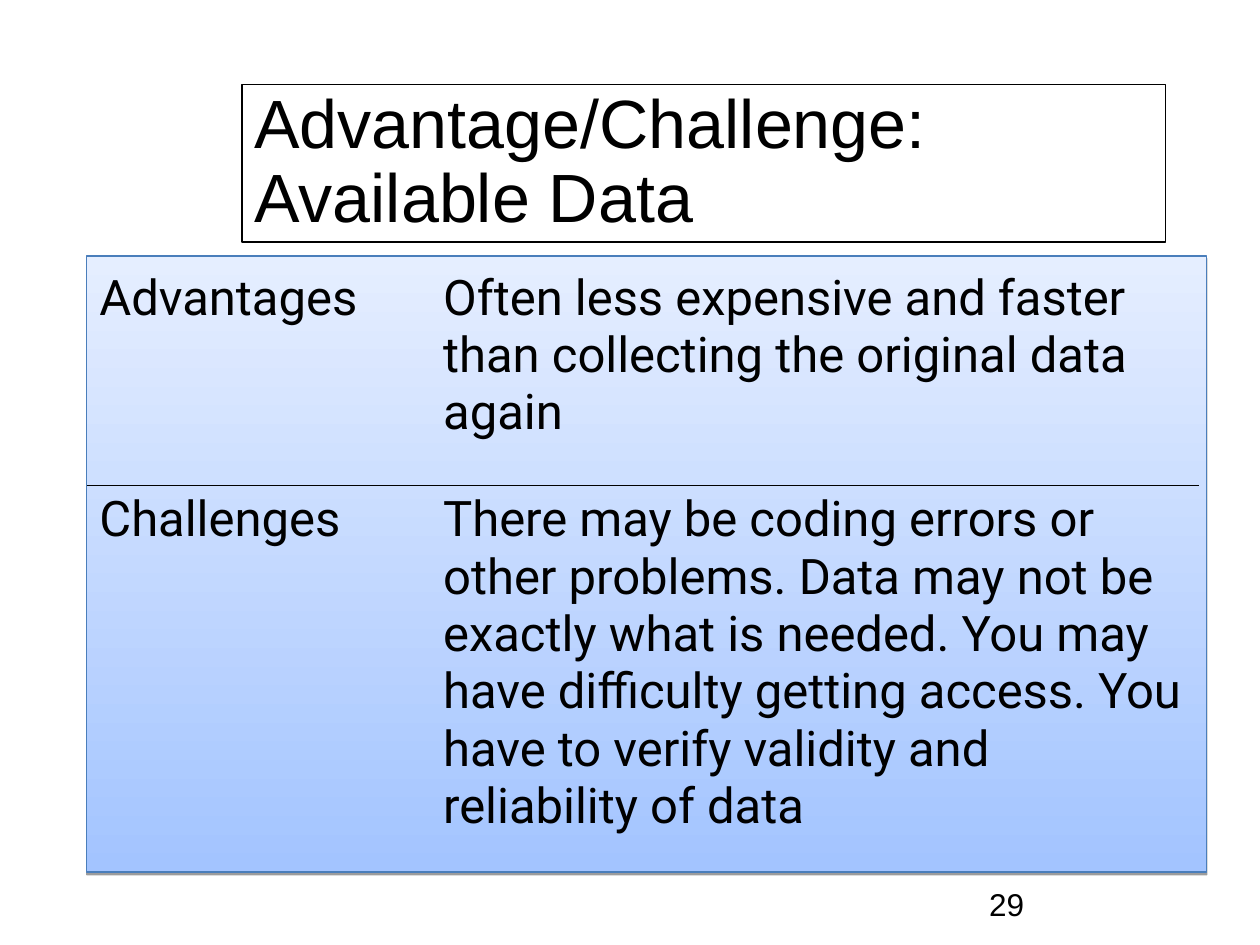
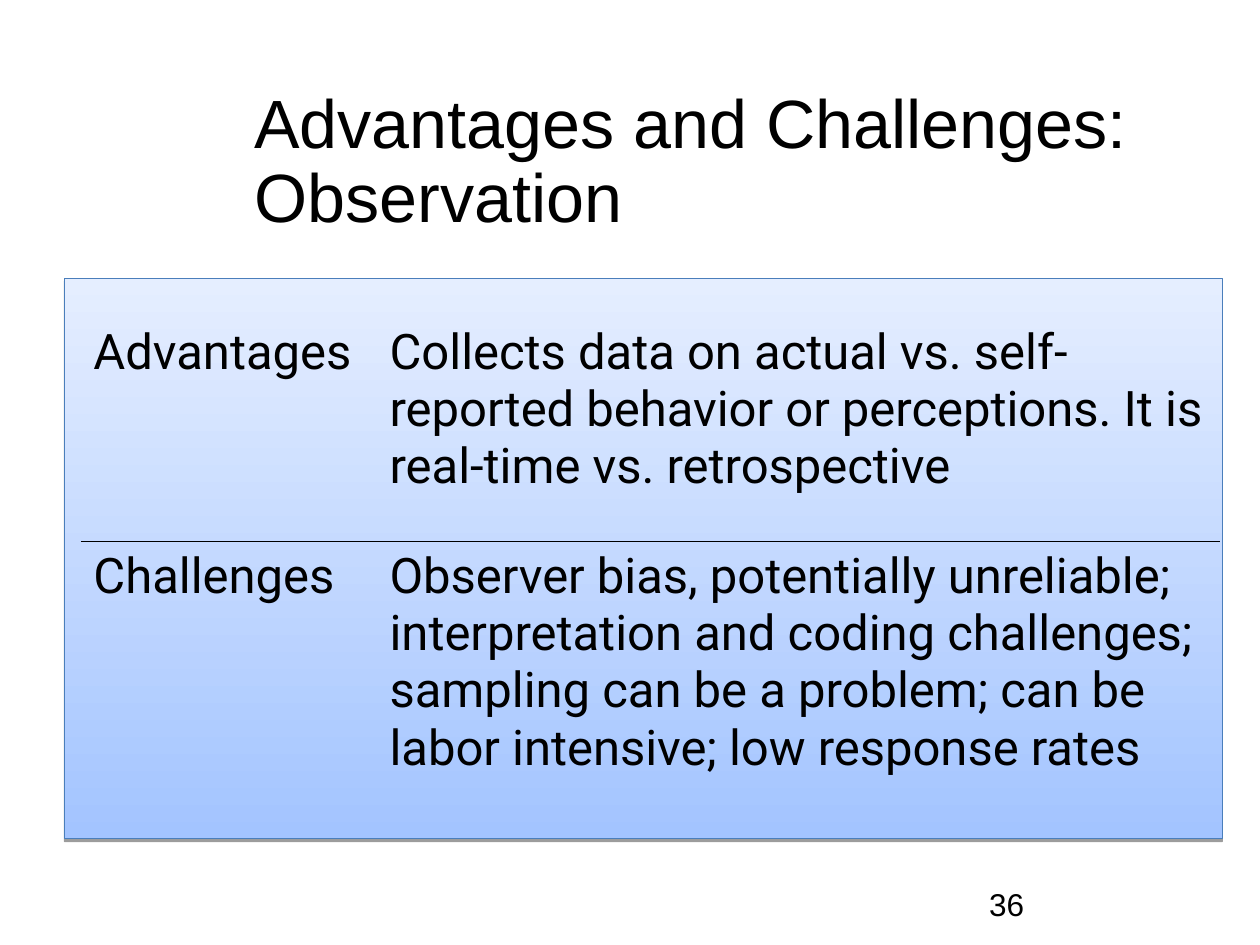
from dataclasses import dataclass

import pptx
import pptx.dml.color
import pptx.enum.shapes
import pptx.enum.text
import pptx.oxml
import pptx.oxml.ns
import pptx.util

Cm, Pt = pptx.util.Cm, pptx.util.Pt
COLORS = {
    "ink": "000000",
    "panel_bottom": "A3C4FF",
    "panel_top": "E5EEFF",
    "panel_line": "4A7EBB",
}
TITLE_FONT, TABLE_FONT = "Arial", "Roboto"
NS = pptx.oxml.ns.nsdecls("a")


@dataclass
class Box:
    """A rectangle in centimetres."""
    left: float
    top: float
    width: float
    height: float

    def lengths(self) -> list:
        return [Cm(v) for v in (self.left, self.top, self.width, self.height)]


@dataclass
class Comparison:
    title: str
    title_framed: bool
    panel: Box
    table_left: float
    table_top: float
    col_widths: tuple
    row_heights: tuple
    advantages: str
    challenges: str
    number: int


TITLE_BOX = Box(4.88, 1.7, 18.62, 3.18)
NUMBER_BOX = Box(19.69, 17.73, 5.69, 0.99)

COMPARISONS = [
    Comparison(
        title="Advantage/Challenge: Available Data",
        title_framed=True,
        panel=Box(1.75, 5.16, 22.58, 12.42),
        table_left=1.75,
        table_top=5.31,
        col_widths=(6.93, 15.49),
        row_heights=(4.47, 8.0),
        advantages="Often less expensive and faster than collecting the "
                   "original data again",
        challenges="There may be coding errors or other problems. Data may "
                   "not be exactly what is needed. You may have difficulty "
                   "getting access. You have to verify validity and "
                   "reliability of data",
        number=29,
    ),
    Comparison(
        title="Advantages and Challenges: Observation",
        title_framed=False,
        panel=Box(1.3, 5.61, 23.34, 11.3),
        table_left=1.63,
        table_top=6.4,
        col_widths=(5.97, 16.99),
        row_heights=(4.52, 6.2),
        advantages="Collects data on actual vs. self- reported behavior or "
                   "perceptions. It is real-time vs. retrospective",
        challenges="Observer bias, potentially unreliable; interpretation "
                   "and coding challenges; sampling can be a problem; can be "
                   "labor intensive; low response rates",
        number=36,
    ),
]


def rgb(name: str):
    return pptx.dml.color.RGBColor.from_string(COLORS[name])


def write(tf, text: str, *, font: str, size: float, spacing: float = 1.0) -> None:
    tf.word_wrap = True
    p = tf.paragraphs[0]
    p.line_spacing = spacing
    r = p.add_run()
    r.text = text
    r.font.name = font
    r.font.size = Pt(size)
    r.font.color.rgb = rgb("ink")


def add_text(slide, box: Box, text: str, **fmt):
    sp = slide.shapes.add_textbox(*box.lengths())
    sp.text_frame.vertical_anchor = pptx.enum.text.MSO_ANCHOR.MIDDLE
    write(sp.text_frame, text, **fmt)
    return sp


def add_panel(slide, box: Box) -> None:
    """Draw the gradient rectangle and its thin drop shadow."""
    sp = slide.shapes.add_shape(
        pptx.enum.shapes.MSO_SHAPE.RECTANGLE, *box.lengths())
    sp.fill.gradient()
    sp.fill.gradient_angle = 90
    for stop, name in zip(sp.fill.gradient_stops, ("panel_bottom", "panel_top")):
        stop.color.rgb = rgb(name)
    sp.line.color.rgb = rgb("panel_line")
    sp.line.width = Pt(0.75)
    sp.shadow.inherit = False
    effects = sp._element.spPr.find(pptx.oxml.ns.qn("a:effectLst"))
    effects.append(pptx.oxml.parse_xml(
        f'<a:outerShdw {NS} blurRad="0" dist="{Pt(1.6)}" dir="5400000" '
        f'rotWithShape="0"><a:srgbClr val="{COLORS["ink"]}">'
        '<a:alpha val="38000"/></a:srgbClr></a:outerShdw>'))


def set_borders(cell, ruled_side: str) -> None:
    """Rule one side of the cell and clear the other three."""
    tc_pr = cell._tc.get_or_add_tcPr()
    for i, side in enumerate("LRTB"):
        paint = "<a:noFill/>"
        if side == ruled_side:
            paint = (f'<a:solidFill><a:srgbClr val="{COLORS["ink"]}"/>'
                     '</a:solidFill>')
        tc_pr.insert(i, pptx.oxml.parse_xml(
            f'<a:ln{side} {NS} w="{Pt(0.45)}">{paint}</a:ln{side}>'))


def add_comparison_table(slide, c: Comparison) -> None:
    rows = [("Advantages", c.advantages), ("Challenges", c.challenges)]
    box = Box(c.table_left, c.table_top, sum(c.col_widths), sum(c.row_heights))
    table = slide.shapes.add_table(2, 2, *box.lengths()).table
    table.first_row = table.horz_banding = False
    for col, width in zip(table.columns, c.col_widths):
        col.width = Cm(width)
    for i, (texts, height) in enumerate(zip(rows, c.row_heights)):
        table.rows[i].height = Cm(height)
        for cell, text in zip(table.rows[i].cells, texts):
            cell.fill.background()
            set_borders(cell, "BT"[i])
            write(cell.text_frame, text, font=TABLE_FONT, size=28)


def add_comparison(prs, c: Comparison) -> None:
    slide = prs.slides.add_slide(prs.slide_layouts[6])
    add_panel(slide, c.panel)
    title = add_text(slide, TITLE_BOX, c.title,
                     font=TITLE_FONT, size=39, spacing=0.9)
    if c.title_framed:
        title.line.color.rgb = rgb("ink")
        title.line.width = Pt(0.75)
    add_comparison_table(slide, c)
    add_text(slide, NUMBER_BOX, str(c.number), font=TITLE_FONT, size=18)


def main() -> None:
    prs = pptx.Presentation()
    prs.slide_width, prs.slide_height = Cm(25.4), Cm(19.05)
    for c in COMPARISONS:
        add_comparison(prs, c)
    prs.save("out.pptx")


if __name__ == "__main__":
    main()
